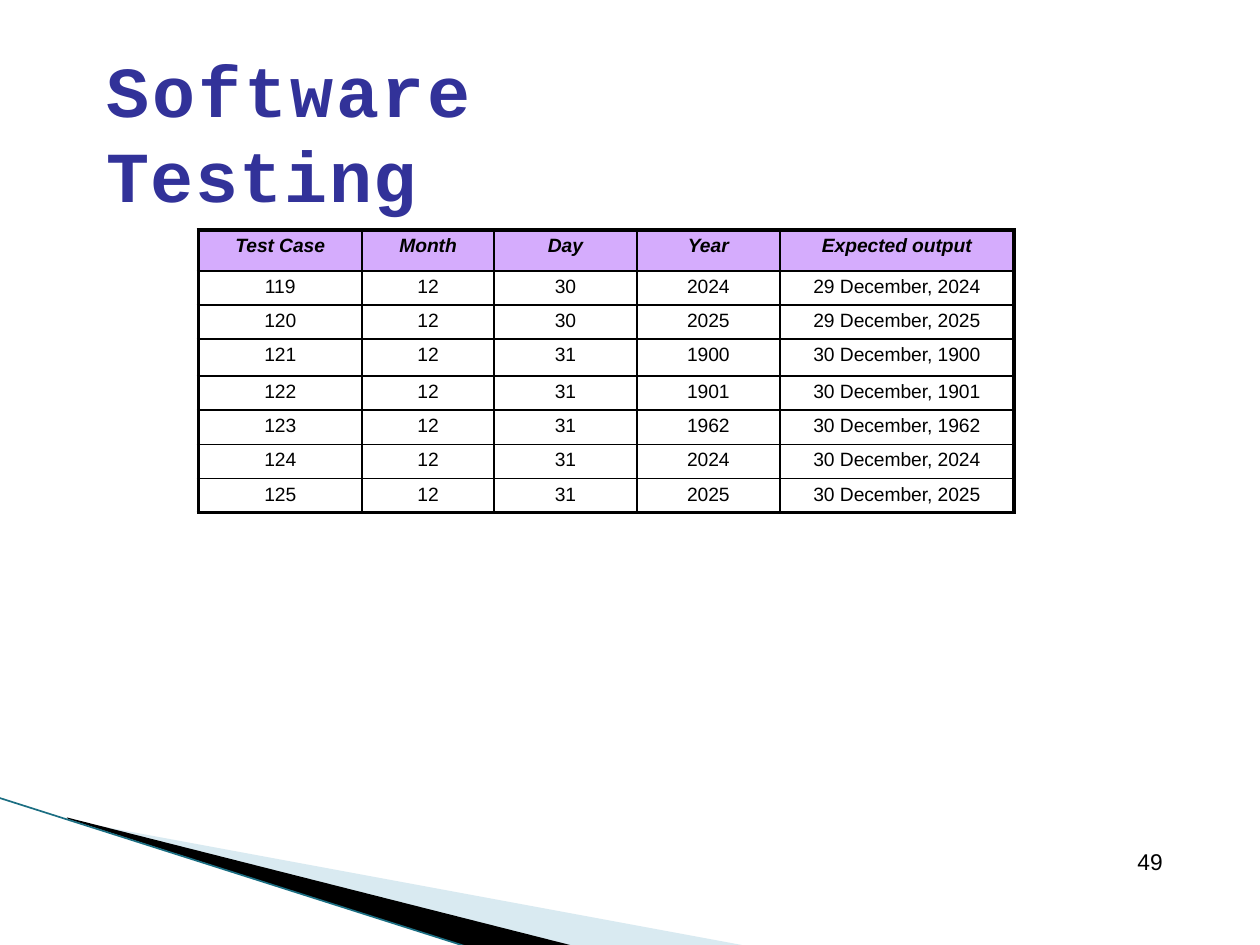
from dataclasses import dataclass

from lxml import etree
from pptx import Presentation
from pptx.dml.color import RGBColor
from pptx.enum.shapes import MSO_CONNECTOR
from pptx.enum.text import MSO_ANCHOR, PP_ALIGN
from pptx.oxml.ns import qn
from pptx.util import Cm, Pt

CENTER = PP_ALIGN.CENTER
MIDDLE = MSO_ANCHOR.MIDDLE
STRAIGHT = MSO_CONNECTOR.STRAIGHT

COLORS = {
    "title": "323299",
    "ink": "000000",
    "header": "D5ACFD",
    "pale": "A0CBDC",
    "edge": "1B6E82",
}
TITLE_FONT = {"name": "Courier New", "size": Pt(41), "bold": True}
HEADER_FONT = {"name": "Arial", "size": Pt(11), "bold": True, "italic": True}
BODY_FONT = {"name": "Arial", "size": Pt(11), "bold": False, "italic": False}
PAGE_FONT = {"name": "Arial", "size": Pt(13)}

THIN, THICK = Pt(1), Pt(2.25)
COLUMN_WIDTHS = (3.3, 2.66, 2.88, 2.88, 4.72)
ROW_HEIGHTS = (0.82, 0.69, 0.69, 0.74, 0.69, 0.69, 0.69, 0.69)
HEADINGS = ("Test Case", "Month", "Day", "Year", "Expected output")
FIRST_CASE = 119
DATES = (
    (30, 2024), (30, 2025), (31, 1900), (31, 1901),
    (31, 1962), (31, 2024), (31, 2025),
)


@dataclass
class Wedge:
    frame: tuple
    points: tuple
    color: str
    opacity: int


@dataclass
class TextBox:
    left: float
    top: float
    width: float
    height: float
    spans: tuple
    font: dict
    color: str
    line_spacing: float
    inset_left: float = 0
    inset_top: float = 0


WEDGES = (
    Wedge((1.98, 13.89, 10.57, 4.01),
          ((1.4, 16.54), (15.11, 19.08), (11.58, 19.08), (1.4, 16.51)), "pale", 40),
    Wedge((-0.15, 16.08, 10.57, 2.34),
          ((1.35, 16.48), (11.61, 19.08), (9.45, 19.1), (1.37, 16.51)), "ink", 100),
)
TEXT_BOXES = (
    TextBox(2.11, 1.75, 14.5, 1.78, (("Software ", 1.7), ("Testing", 0.9)),
            TITLE_FONT, "title", 49, 0.03, 0.02),
    TextBox(22.83, 17.17, 0.69, 0.46, (("49", 0),),
            PAGE_FONT, "ink", 13.2, 0.1),
)


def color_of(name: str) -> RGBColor:
    return RGBColor.from_string(COLORS[name])


def add_span(para, text: str, font: dict, color: str, tracking: float = 0) -> None:
    span = para.add_run()
    span.text = text
    for attribute, value in font.items():
        setattr(span.font, attribute, value)
    span.font.color.rgb = color_of(color)
    if tracking:
        span.font._element.set("spc", str(round(tracking * 100)))


def fit_frame(shape, frame: tuple) -> None:
    left, top, width, height = (Cm(length) for length in frame)
    shifts = {"x": shape.left - left, "y": shape.top - top}
    outline = next(shape.element.spPr.iter(qn("a:path")))
    for point in outline.iter(qn("a:pt")):
        for axis, shift in shifts.items():
            point.set(axis, str(int(point.get(axis)) + shift))
    outline.set("w", str(int(width)))
    outline.set("h", str(int(height)))
    shape.left, shape.top, shape.width, shape.height = left, top, width, height


def draw_wedge(page, wedge: Wedge) -> None:
    points = [(Cm(x), Cm(y)) for x, y in wedge.points]
    builder = page.shapes.build_freeform(*points[0], scale=1.0)
    builder.add_line_segments(points[1:], close=True)
    shape = builder.convert_to_shape()
    fit_frame(shape, wedge.frame)
    shape.shadow.inherit = False
    shape.fill.solid()
    shape.fill.fore_color.rgb = color_of(wedge.color)
    shape.line.fill.background()
    if wedge.opacity < 100:
        color = shape.element.spPr.find(qn("a:solidFill"))[0]
        etree.SubElement(color, qn("a:alpha"), val=str(wedge.opacity * 1000))


def draw_edge(page) -> None:
    edge = page.shapes.add_connector(STRAIGHT, Cm(-0.03), Cm(16.08), Cm(9.46), Cm(19.1))
    edge.line.color.rgb = color_of("edge")
    edge.line.width = Pt(0.95)
    etree.SubElement(edge.element.spPr, qn("a:effectLst"))


def draw_text(page, box: TextBox) -> None:
    shape = page.shapes.add_textbox(
        Cm(box.left), Cm(box.top), Cm(box.width), Cm(box.height)
    )
    frame = shape.text_frame
    settings = {
        "word_wrap": True,
        "vertical_anchor": MIDDLE,
        "margin_left": Cm(box.inset_left),
        "margin_top": Cm(box.inset_top),
        "margin_right": 0,
        "margin_bottom": 0,
    }
    for attribute, value in settings.items():
        setattr(frame, attribute, value)
    para = frame.paragraphs[0]
    para.line_spacing = Pt(box.line_spacing)
    for text, tracking in box.spans:
        add_span(para, text, box.font, box.color, tracking)


def set_borders(cell, widths: dict) -> None:
    properties = cell._tc.get_or_add_tcPr()
    for side, width in widths.items():
        line = etree.SubElement(properties, qn(f"a:ln{side}"), w=str(int(width)))
        fill = etree.SubElement(line, qn("a:solidFill"))
        etree.SubElement(fill, qn("a:srgbClr"), val=COLORS["ink"])


def draw_table(page) -> None:
    rows = [HEADINGS] + [
        (str(FIRST_CASE + index), "12", str(day), str(year), f"{day - 1} December, {year}")
        for index, (day, year) in enumerate(DATES)
    ]
    last_row, last_column = len(rows) - 1, len(HEADINGS) - 1
    table = page.shapes.add_table(
        len(rows), len(HEADINGS), Cm(4), Cm(4.64),
        Cm(sum(COLUMN_WIDTHS)), Cm(sum(ROW_HEIGHTS)),
    ).table
    table.first_row = table.horz_banding = False
    for column, width in zip(table.columns, COLUMN_WIDTHS):
        column.width = Cm(width)
    for row, height in zip(table.rows, ROW_HEIGHTS):
        row.height = Cm(height)

    for r, texts in enumerate(rows):
        for c, text in enumerate(texts):
            cell = table.cell(r, c)
            for side in ("left", "top", "right", "bottom"):
                setattr(cell, f"margin_{side}", 0)
            set_borders(cell, {
                "L": THICK if c == 0 else THIN,
                "R": THICK if c == last_column else THIN,
                "T": THICK if r == 0 else THIN,
                "B": THICK if r == last_row else THIN,
            })
            if r == 0:
                cell.fill.solid()
                cell.fill.fore_color.rgb = color_of("header")
            else:
                cell.fill.background()
            para = cell.text_frame.paragraphs[0]
            para.alignment = CENTER
            para.line_spacing = Pt(15.2)
            add_span(para, text, BODY_FONT if r else HEADER_FONT, "ink", -0.05)


def main() -> None:
    deck = Presentation()
    deck.slide_width, deck.slide_height = Cm(25.4), Cm(19.05)
    page = deck.slides.add_slide(deck.slide_layouts[6])
    for wedge in WEDGES:
        draw_wedge(page, wedge)
    draw_edge(page)
    title, page_number = TEXT_BOXES
    draw_text(page, title)
    draw_table(page)
    draw_text(page, page_number)
    deck.save("out.pptx")


if __name__ == "__main__":
    main()
